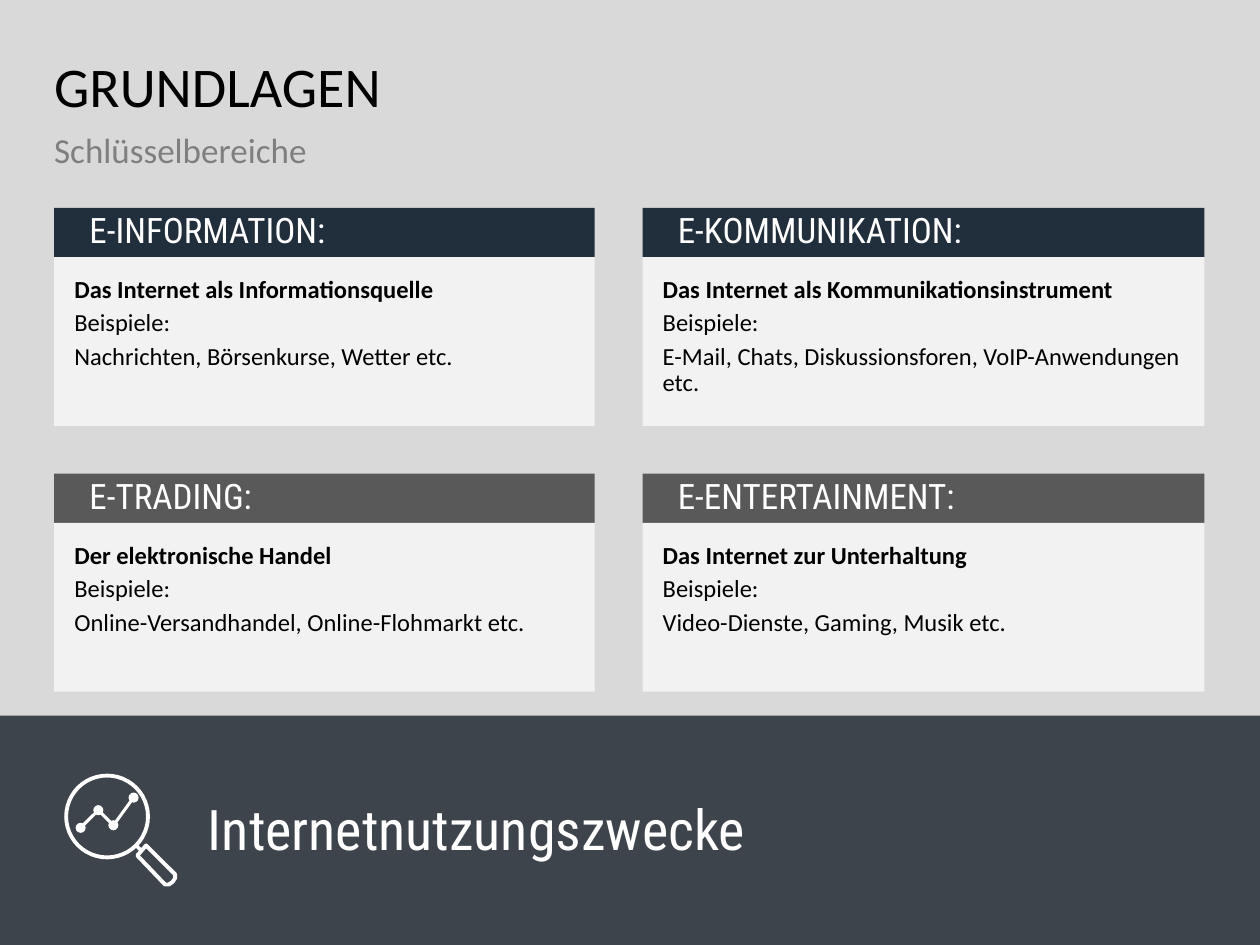
from lxml import etree
from pptx import Presentation
from pptx.dml.color import RGBColor
from pptx.enum.shapes import MSO_CONNECTOR, MSO_SHAPE
from pptx.enum.text import MSO_ANCHOR, PP_ALIGN
from pptx.oxml.ns import qn
from pptx.util import Inches, Pt

RECT, OVAL, DONUT = MSO_SHAPE.RECTANGLE, MSO_SHAPE.OVAL, MSO_SHAPE.DONUT
STRAIGHT = MSO_CONNECTOR.STRAIGHT
TOP, MIDDLE, LEFT = MSO_ANCHOR.TOP, MSO_ANCHOR.MIDDLE, PP_ALIGN.LEFT

COLORS = {k: RGBColor.from_string(v) for k, v in {
    "background": "D9D9D9", "navy": "212E3C", "gray": "595959",
    "panel": "F2F2F2", "band": "161F28", "subtitle": "7F7F7F",
    "black": "000000", "white": "FFFFFF"}.items()}
TITLE = {"name": "Calibri", "size": Pt(32), "color": "black"}
SUBTITLE = {"name": "Calibri", "size": Pt(20), "color": "subtitle"}
HEADING = {"name": "Roboto Condensed", "size": Pt(20), "color": "white"}
BODY = {"name": "Calibri", "size": Pt(14), "color": "black"}
BANNER = {"name": "Roboto Condensed", "size": Pt(32), "color": "white"}

prs = Presentation()
prs.slide_width, prs.slide_height = Inches(10), Inches(7.5)
s = prs.slides.add_slide(prs.slide_layouts[6])
s.background.fill.solid()
s.background.fill.fore_color.rgb = COLORS["background"]


def add_filled(kind, x, y, w, h, color):
    sp = s.shapes.add_shape(kind, Inches(x), Inches(y), Inches(w), Inches(h))
    sp.shadow.inherit = False
    sp.fill.solid()
    sp.fill.fore_color.rgb = COLORS[color]
    sp.line.fill.background()
    return sp


def write(sp, lines, style, insets=(0, 0, 0, 0), anchor=TOP, after=10, bold_first=False):
    tf = sp.text_frame
    tf.word_wrap = True
    tf.vertical_anchor = anchor
    for side, inset in zip(("left", "top", "right", "bottom"), insets):
        setattr(tf, f"margin_{side}", Inches(inset))
    for i, line in enumerate(lines):
        p = tf.paragraphs[0] if i == 0 else tf.add_paragraph()
        p.alignment, p.line_spacing, p.space_after = LEFT, 0.9, Pt(after)
        r = p.add_run()
        r.text = line
        r.font.bold = bold_first and i == 0
        for key, value in style.items():
            if key == "color":
                r.font.color.rgb = COLORS[value]
            else:
                setattr(r.font, key, value)


# Title and subtitle
for text, y, h, style in (("GRUNDLAGEN", 0.47, 0.59, TITLE),
                          ("Schlüsselbereiche", 1.06, 0.59, SUBTITLE)):
    box = s.shapes.add_textbox(Inches(0.43), Inches(y), Inches(9.13), Inches(h))
    write(box, [text], style)

# Four key areas in a two by two grid
COLUMNS = [(0.43, 4.29), (5.1, 4.46)]
ROWS = [(1.65, "navy"), (3.76, "gray")]
AREAS = [
    ("E-INFORMATION:", "Das Internet als Informationsquelle",
     "Nachrichten, Börsenkurse, Wetter etc."),
    ("E-KOMMUNIKATION:", "Das Internet als Kommunikationsinstrument",
     "E-Mail, Chats, Diskussionsforen, VoIP-Anwendungen etc."),
    ("E-TRADING:", "Der elektronische Handel",
     "Online-Versandhandel, Online-Flohmarkt etc."),
    ("E-ENTERTAINMENT:", "Das Internet zur Unterhaltung",
     "Video-Dienste, Gaming, Musik etc."),
]
for i, (heading, summary, examples) in enumerate(AREAS):
    (x, w), (y, color) = COLUMNS[i % 2], ROWS[i // 2]
    write(add_filled(RECT, x, y, w, 0.39, color), [heading], HEADING,
          (0.28, 0, 0.16, 0), MIDDLE)
    write(add_filled(RECT, x, y + 0.39, w, 1.34, "panel"),
          [summary, "Beispiele:", examples], BODY, (0.16,) * 4, after=4, bold_first=True)

# Translucent bottom band with its caption
band = add_filled(RECT, 0, 5.68, 10, 1.82, "band")
color_el = band.fill._xPr.find(qn("a:solidFill"))[0]
etree.SubElement(color_el, qn("a:alpha")).set("val", "80000")
caption = s.shapes.add_textbox(Inches(1.64), Inches(5.85), Inches(7.92), Inches(1.51))
write(caption, ["Internetnutzungszwecke"], BANNER, (0.01, 0, 0, 0), MIDDLE)

# Magnifier: lens, neck and handle
lens = add_filled(DONUT, 0.51, 6.14, 0.68, 0.68, "white")
lens.adjustments[0] = 0.045
HANDLE = [(1.09, 6.79), (1.16, 6.71), (1.39, 6.94), (1.39, 6.97),
          (1.37, 7.0), (1.34, 7.02), (1.31, 7.02)]
points = [(Inches(x), Inches(y)) for x, y in HANDLE]
builder = s.shapes.build_freeform(*points[0])
builder.add_line_segments(points[1:], close=True)
handle = builder.convert_to_shape()
handle.shadow.inherit = False
handle.fill.background()
handle.line.color.rgb = COLORS["white"]
handle.line.width = Pt(2.25)

# Trend line inside the lens, and the neck of the handle
DOTS = [(0.64, 6.57), (0.78, 6.43), (0.9, 6.55), (1.06, 6.33)]
strokes = [(a, b, 1.75) for a, b in zip(DOTS, DOTS[1:])]
strokes.append(((1.08, 6.71), (1.12, 6.75), 2))
for (x1, y1), (x2, y2), width in strokes:
    c = s.shapes.add_connector(STRAIGHT, Inches(x1), Inches(y1), Inches(x2), Inches(y2))
    c.line.color.rgb = COLORS["white"]
    c.line.width = Pt(width)
    etree.SubElement(c._element.spPr, qn("a:effectLst"))
for x, y in DOTS:
    add_filled(OVAL, x - 0.04, y - 0.04, 0.08, 0.08, "white")

prs.save("out.pptx")
